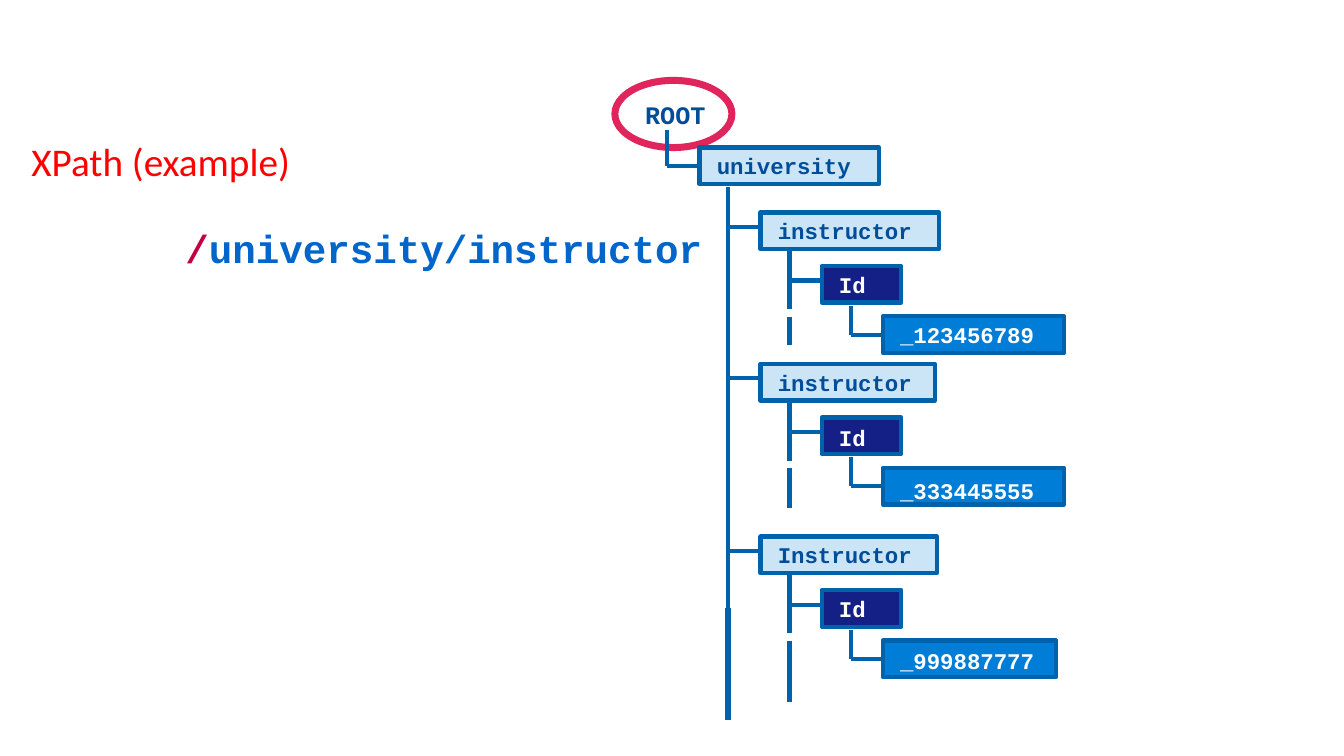
"""Builds an XPath example slide with the tree of a university document."""
from lxml.etree import SubElement
from pptx import Presentation
from pptx.dml.color import RGBColor as Rgb
from pptx.enum.shapes import MSO_CONNECTOR as Connector, MSO_SHAPE as Preset
from pptx.enum.text import MSO_ANCHOR as Anchor, PP_ALIGN as Align
from pptx.oxml.ns import qn
from pptx.util import Pt

COLORS = {
    "title": "FF0000", "slash": "C20042", "path": "0066CC", "ring": "E0245C",
    "line": "0062AA", "label": "004D99", "element": "007DD6",
    "id": "142086", "white": "FFFFFF",
}
TRUNK_X, BRANCH_X, STEM_X, ID_X, ID_STEM_X, VALUE_X = 520.1, 543.3, 564, 587, 607.8, 630.6
BOX_HEIGHT = 26.2


def color(name):
    return Rgb.from_string(COLORS[name])


def write(frame, *parts, size=16, font="Courier New", bold=True, left=0, top=0.7,
          anchor=Anchor.TOP, line_spacing=None):
    frame.word_wrap = True
    frame.vertical_anchor = anchor
    frame.margin_left, frame.margin_top = Pt(left), Pt(top)
    frame.margin_right = frame.margin_bottom = 0
    paragraph = frame.paragraphs[0]
    paragraph.alignment = Align.LEFT
    if line_spacing:
        paragraph.line_spacing = line_spacing
    for words, tint in parts:
        run = paragraph.add_run()
        run.text = words
        run.font.size, run.font.name, run.font.bold = Pt(size), font, bold
        run.font.color.rgb = color(tint)


class TreeSlide:
    def __init__(self, slide):
        self.shapes = slide.shapes

    def text(self, x, y, width, height, *parts, **style):
        box = self.shapes.add_textbox(Pt(x), Pt(y), Pt(width), Pt(height))
        write(box.text_frame, *parts, **style)

    def ring(self, x, y, width, height):
        oval = self.shapes.add_shape(Preset.OVAL, Pt(x), Pt(y), Pt(width), Pt(height))
        oval.shadow.inherit = False
        oval.fill.background()
        oval.line.color.rgb = color("ring")
        oval.line.width = Pt(5)

    def node(self, x, y, width, words, fill, tint, drop=0, opacity=None):
        box = self.shapes.add_shape(Preset.RECTANGLE, Pt(x), Pt(y), Pt(width), Pt(BOX_HEIGHT))
        box.shadow.inherit = False
        box.fill.solid()
        box.fill.fore_color.rgb = color(fill)
        if opacity:
            solid = box._element.spPr.find(qn("a:solidFill"))
            SubElement(solid[0], qn("a:alpha"), val=str(opacity * 1000))
        box.line.color.rgb = color("line")
        box.line.width = Pt(3)
        write(box.text_frame, (words, tint), left=12.3, top=3.4 + drop)

    def element(self, x, y, width, words):
        self.node(x, y, width, words, "element", "label", opacity=20)

    def line(self, x1, y1, x2, y2, width=3):
        link = self.shapes.add_connector(Connector.STRAIGHT, Pt(x1), Pt(y1), Pt(x2), Pt(y2))
        link.line.color.rgb = color("line")
        link.line.width = Pt(width)
        SubElement(link._element.spPr, qn("a:effectLst"))

    def branch(self, y, name, width, number, number_width, tail, id_drop, number_drop):
        self.line(TRUNK_X, y + 10.3, BRANCH_X, y + 10.3)
        self.line(STEM_X, y + 25.4, STEM_X, y + 69.1)
        self.line(STEM_X, y + 74.3, STEM_X, y + 74.3 + tail)
        self.line(STEM_X, y + 48.6, ID_X, y + 48.6)
        self.line(ID_STEM_X, y + 66.8, ID_STEM_X, y + 87.3)
        self.line(ID_STEM_X, y + 87.3, VALUE_X, y + 87.3)
        self.element(BRANCH_X, y, width, name)
        self.node(ID_X, y + 38.2, 56.8, "Id", "id", "white", id_drop)
        self.node(VALUE_X, y + 74.2, number_width, number, "element", "white", number_drop)


def main():
    deck = Presentation()
    deck.slide_width, deck.slide_height = Pt(960), Pt(540)
    tree = TreeSlide(deck.slides.add_slide(deck.slide_layouts[6]))

    tree.text(22.4, 100.8, 219.6, 31.7, ("XPath (example)", "title"), size=28,
              font="Calibri", bold=False, anchor=Anchor.BOTTOM, line_spacing=0.9)
    tree.text(132.5, 159.8, 378, 35.3, ("/", "slash"), ("university/instructor", "path"), size=28)

    tree.ring(439.2, 57.4, 83.6, 48)
    tree.element(499.7, 105.4, 128.2, "university")
    tree.text(460.8, 70, 60, 22, ("ROOT", "label"), size=18)
    tree.line(476.6, 92.7, 476.6, 118.4)
    tree.line(476.6, 118.4, 499.7, 118.4)

    tree.line(TRUNK_X, 133.9, TRUNK_X, 440)
    tree.line(TRUNK_X, 434.6, TRUNK_X, 514.2, width=4)
    branches = [
        (151.8, "instructor", 127.4, "_123456789", 129.4, 20.6, 0, 0),
        (260, "instructor", 124.6, "_333445555", 129.4, 28.4, 1.4, 2.9),
        (383.3, "Instructor", 126, "_999887777", 123.8, 43.6, 0.5, 1.2),
    ]
    for branch in branches:
        tree.branch(*branch)
    deck.save("out.pptx")


if __name__ == "__main__":
    main()
